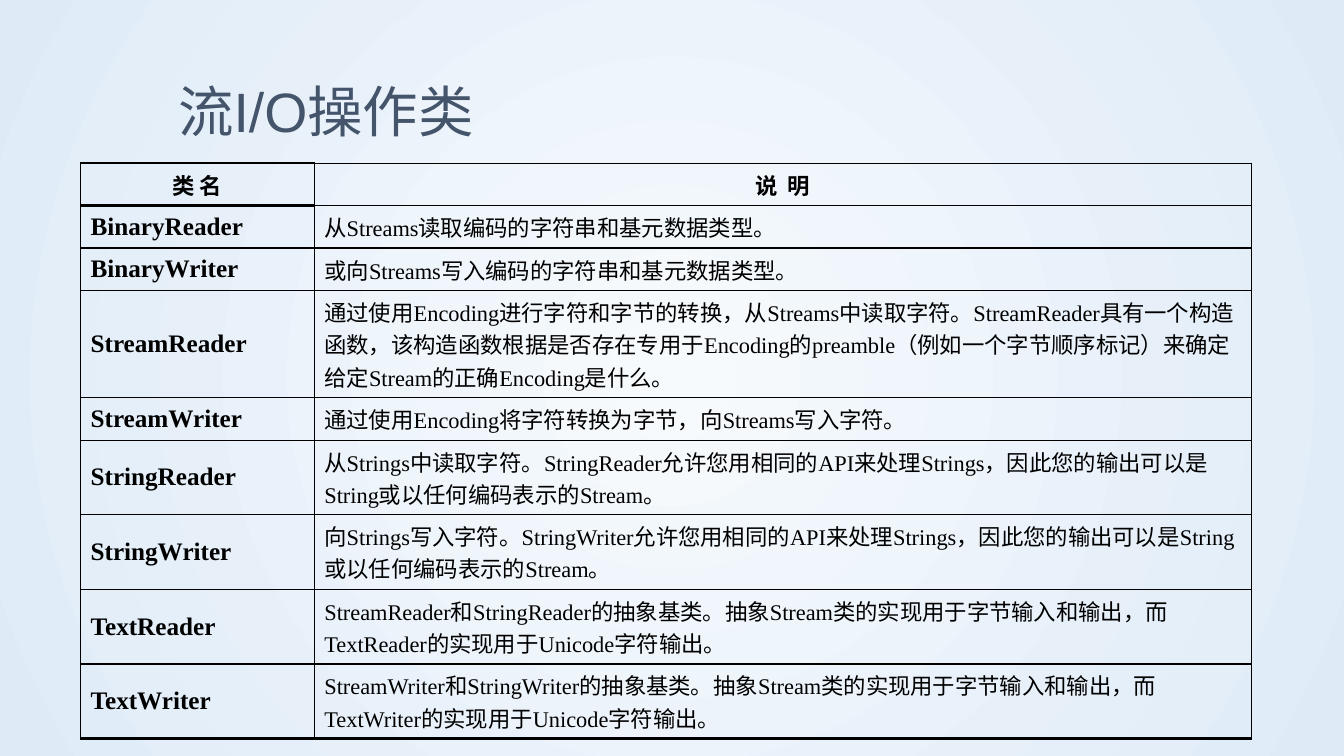
"""Build a slide with a table of stream I/O classes."""
from lxml import etree
from pptx import Presentation
from pptx import util as u
from pptx.dml.color import RGBColor
from pptx.enum import text
from pptx.oxml import parse_xml
from pptx.oxml.ns import nsdecls, qn

TITLE = "流I/O操作类"
HEADER = ("类 名", "说  明")
CLASSES = [
    ("BinaryReader", "从Streams读取编码的字符串和基元数据类型。"),
    ("BinaryWriter", "或向Streams写入编码的字符串和基元数据类型。"),
    ("StreamReader", "通过使用Encoding进行字符和字节的转换，从Streams中读取字符。"
     "StreamReader具有一个构造函数，该构造函数根据是否存在专用于Encoding的preamble"
     "（例如一个字节顺序标记）来确定给定Stream的正确Encoding是什么。"),
    ("StreamWriter", "通过使用Encoding将字符转换为字节，向Streams写入字符。"),
    ("StringReader", "从Strings中读取字符。StringReader允许您用相同的API来处理Strings，"
     "因此您的输出可以是String或以任何编码表示的Stream。"),
    ("StringWriter", "向Strings写入字符。StringWriter允许您用相同的API来处理Strings，"
     "因此您的输出可以是String或以任何编码表示的Stream。"),
    ("TextReader", "StreamReader和StringReader的抽象基类。抽象Stream类的实现用于字节输入和输出，"
     "而TextReader的实现用于Unicode字符输出。"),
    ("TextWriter", "StreamWriter和StringWriter的抽象基类。抽象Stream类的实现用于字节输入和输出，"
     "而TextWriter的实现用于Unicode字符输出。"),
]
COLS = (5.89, 23.62)
ROW_LINES = (1, 1, 1, 3, 1, 2, 2, 2, 2)
ROW_HEIGHT = {1: 1.07, 2: 1.88, 3: 2.7}
THEME = {
    "title": ("Arial", 39.6, "44546A"), "font": "Times New Roman", "ink": "000000",
    "name": 18, "body": 16, "glow": ("F7FAFD", "DEEBF7"),
    "thin": 0.75, "line": 1, "thick": 2,
}


def add_run(p, words, font, size, color, bold=False):
    r = p.add_run()
    r.text = words
    r.font.name, r.font.size, r.font.bold = font, u.Pt(size), bold
    r.font.color.rgb = RGBColor.from_string(color)


def set_background(s):
    fill = s.background.fill
    fill.gradient()
    for stop, color in zip(fill.gradient_stops, THEME["glow"]):
        stop.color.rgb = RGBColor.from_string(color)
    grad = s.element.find(".//" + qn("a:gradFill"))
    grad.remove(grad.find(qn("a:lin")))
    path = etree.SubElement(grad, qn("a:path"), path="circle")
    etree.SubElement(path, qn("a:fillToRect"), l="50000", t="50000", r="50000", b="50000")


def set_borders(cell, widths):
    tcPr = cell._tc.get_or_add_tcPr()
    for i, (side, width) in enumerate(zip("LTRB", widths)):
        tcPr.insert(i, parse_xml(
            f'<a:ln{side} {nsdecls("a")} w="{u.Pt(width)}"><a:solidFill>'
            f'<a:srgbClr val="{THEME["ink"]}"/></a:solidFill></a:ln{side}>'))


def add_title(s):
    tf = s.shapes.add_textbox(u.Cm(4.24), u.Cm(1.96), u.Cm(26.52), u.Cm(1.65)).text_frame
    tf.word_wrap = True
    tf.vertical_anchor = text.MSO_ANCHOR.MIDDLE
    add_run(tf.paragraphs[0], TITLE, *THEME["title"])


def add_class_table(s):
    rows = [HEADER] + CLASSES
    heights = [ROW_HEIGHT[n] for n in ROW_LINES]
    table = s.shapes.add_table(len(rows), len(COLS), u.Cm(2.03), u.Cm(4.11),
                               u.Cm(sum(COLS)), u.Cm(sum(heights))).table
    table.first_row = table.horz_banding = False
    for col, width in zip(table.columns, COLS):
        col.width = u.Cm(width)
    thin, line, thick = THEME["thin"], THEME["line"], THEME["thick"]
    last = len(rows) - 1
    for i, (row, height) in enumerate(zip(rows, heights)):
        table.rows[i].height = u.Cm(height)
        for j, words in enumerate(row):
            cell = table.cell(i, j)
            cell.fill.background()
            cell.vertical_anchor = text.MSO_ANCHOR.MIDDLE
            p = cell.text_frame.paragraphs[0]
            if i == 0:
                p.alignment = text.PP_ALIGN.CENTER
            size = THEME["name"] if i and j == 0 else THEME["body"]
            add_run(p, words, THEME["font"], size, THEME["ink"], i == 0 or j == 0)
            top = thick if j == 0 and i < 2 else line
            bottom = thick if i == last or (i, j) == (0, 0) else line
            set_borders(cell, (line, top, thin, bottom) if j else (thin, top, line, bottom))


def main():
    prs = Presentation()
    prs.slide_width, prs.slide_height = u.Cm(33.87), u.Cm(19.05)
    s = prs.slides.add_slide(prs.slide_layouts[6])
    set_background(s)
    add_title(s)
    add_class_table(s)
    prs.save("out.pptx")


if __name__ == "__main__":
    main()
